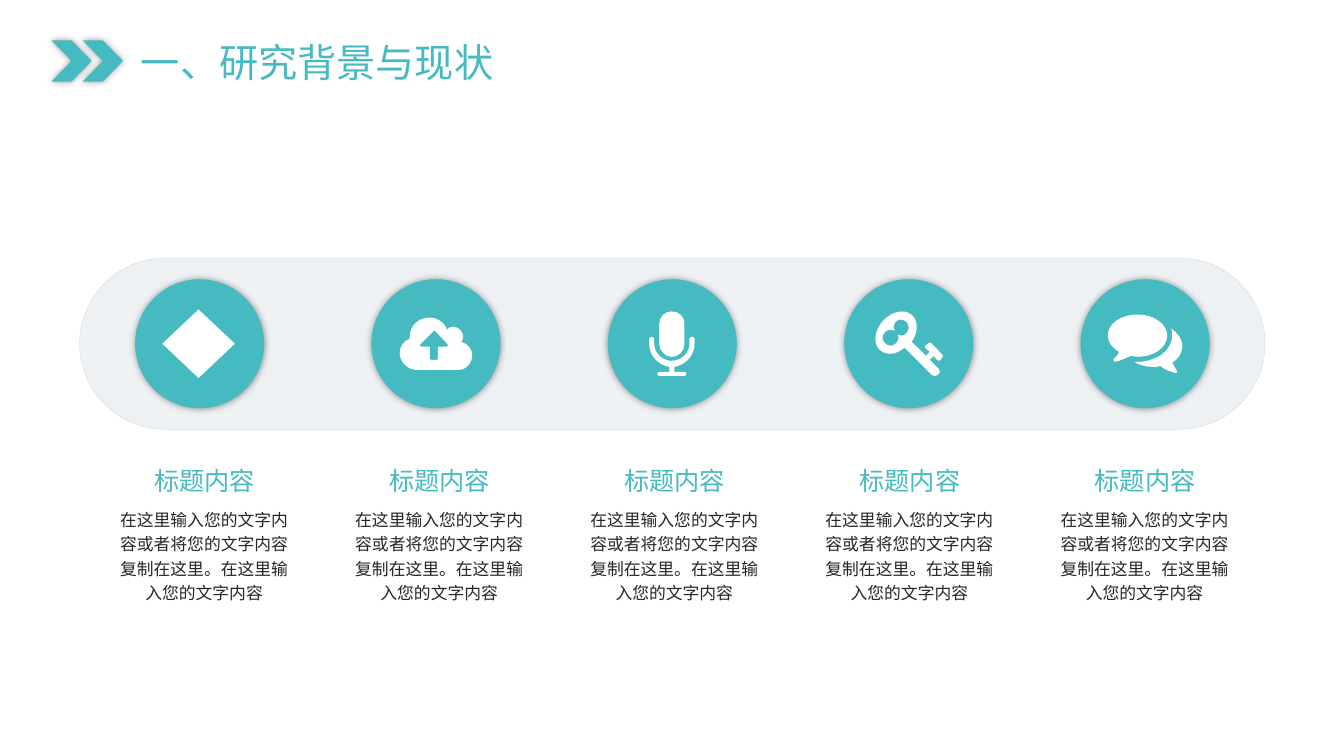
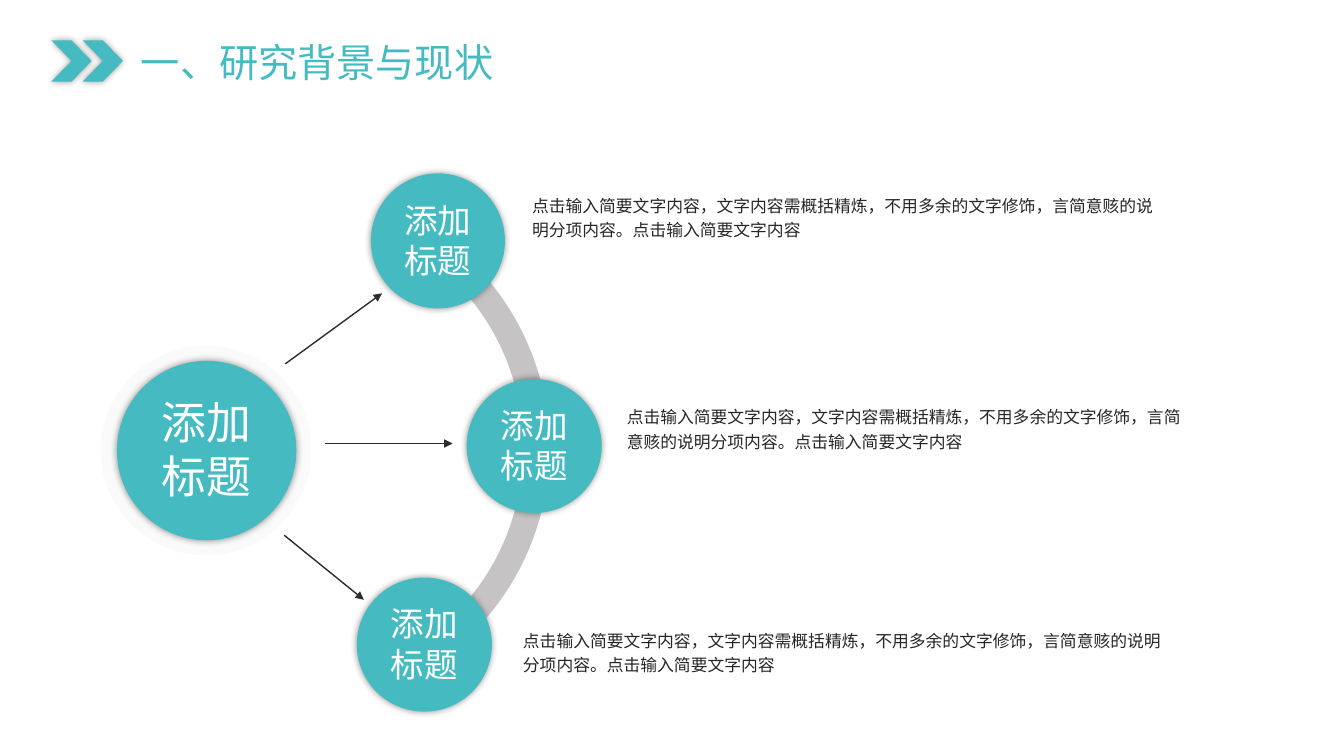
from dataclasses import dataclass
from typing import NamedTuple

from lxml.etree import SubElement
from pptx import Presentation
from pptx.dml.color import RGBColor
from pptx.enum.shapes import MSO_CONNECTOR, MSO_SHAPE
from pptx.enum.text import MSO_ANCHOR, MSO_AUTO_SIZE, PP_ALIGN
from pptx.oxml.ns import qn
from pptx.util import Emu, Pt

EMU_PER_PX = 9144  # 100 px to the inch
SLIDE_WIDTH, SLIDE_HEIGHT = Emu(12192000), Emu(6858000)  # 16:9


@dataclass(frozen=True)
class Theme:
    teal: str = "45BBC1"
    white: str = "FFFFFF"
    node_text: str = "FEFEFE"
    ink: str = "262626"
    arrow: str = "2E2C2C"
    arc: str = "C5C3C3"
    halo: str = "FAFAFA"
    band: str = "D6DCE5"
    band_edge: str = "D9D9D9"
    shadow: str = "000000"
    heading_font: str = "Noto Sans CJK JP"
    body_font: str = "Noto Sans CJK SC"
    title_size: int = 28
    hub_size: int = 32
    node_size: int = 24
    heading_size: int = 18
    body_size: int = 12


THEME = Theme()


class Box(NamedTuple):
    left: float
    top: float
    width: float
    height: float


class Branch(NamedTuple):
    circle: Box
    note: Box
    arrow: tuple[int, int, int, int]


Point = tuple[int, int]

# Content
TITLE = "一、研究背景与现状"
TOPIC = "标题内容"
TOPIC_BODY = "在这里输入您的文字内容或者将您的文字内容复制在这里。在这里输入您的文字内容"
NODE = "添加标题"
NOTE = ("点击输入简要文字内容，文字内容需概括精炼，不用多余的文字修饰，"
        "言简意赅的说明分项内容。点击输入简要文字内容")

# Icon outlines, measured from the corner of their circle
CLOUD = (
    "M 86,90 L 45,90 C 36,90 28,82 28,73 28,67 32,61 38,59 38,58 38,58 38,57 "
    "38,46 47,38 58,38 64,38 72,42 75,50 76,48 79,47 81,47 86,47 91,52 91,57 "
    "91,59 90,61 89,62 96,64 100,70 100,75 100,83 94,90 86,90",
    "M 76,65 L 63,51 62,51 48,65 49,67 58,67 58,79 59,80 65,80 66,79 66,67 75,67",
)
MICROPHONE = (
    "M 86,64 C 86,76 77,85 66,87 L 66,92 76,92 C 77,92 78,93 78,94 78,95 77,96 76,96 "
    "L 51,96 C 50,96 49,95 49,94 49,93 50,92 51,92 L 61,92 61,87 C 50,85 41,76 41,64 "
    "L 41,59 C 41,58 42,57 43,57 44,57 46,58 46,59 L 46,64 C 46,73 54,81 63,81 "
    "73,81 81,73 81,64 L 81,59 C 81,58 82,57 84,57 85,57 86,58 86,59",
    "M 76,64 C 76,71 71,77 63,77 57,77 51,71 51,64 L 51,44 C 51,37 57,32 63,32 "
    "71,32 76,37 76,44",
)
KEY = (
    "M 94,81 C 93,81 89,77 89,76 L 85,80 94,89 C 94,90 95,91 95,92 95,94 92,96 90,96 "
    "89,96 88,96 87,95 L 60,68 C 56,71 51,74 46,74 37,74 31,68 31,59 31,46 44,32 57,32 "
    "66,32 72,38 72,47 72,53 70,58 67,62 L 81,76 85,72 C 84,71 80,68 80,67 "
    "80,66 84,63 85,63 85,63 85,63 86,63 87,64 98,75 98,76 98,77 95,81 94,81",
    "M 56,40 C 52,40 49,44 49,48 49,49 49,50 50,51 48,51 47,50 46,50 42,50 38,54 38,58 "
    "38,62 42,66 46,66 50,66 54,62 54,58 54,57 54,56 53,55 54,55 55,56 56,56 "
    "61,56 64,52 64,48 64,44 61,40 56,40",
)
CHAT = (
    "M 57,77 C 54,77 52,76 50,76 45,78 42,80 38,81 36,81 35,82 34,82 L 34,82 "
    "C 33,82 33,81 33,81 32,80 33,79 33,79 35,77 37,76 38,72 32,68 27,63 27,56 "
    "27,44 40,35 57,35 72,35 86,44 86,56 86,68 72,77 57,77",
    "M 91,83 C 92,86 94,87 95,90 96,91 96,91 96,92 96,93 96,93 95,93 94,93 92,93 91,92 "
    "87,91 84,90 79,86 77,87 75,87 72,87 65,87 58,85 53,82 54,82 56,82 57,82 "
    "65,82 74,79 80,75 87,70 91,63 91,56 91,54 91,51 90,49 97,54 101,60 101,66 "
    "101,73 97,79 91,83",
)
ICONS = (None, CLOUD, MICROPHONE, KEY, CHAT)  # the first circle holds a plain diamond

ARC = (
    "M 403,242 C 473,283 519,358 519,444 519,529 475,603 407,644 L 420,666 "
    "C 495,621 545,538 545,444 545,349 493,265 416,220",
)
BRANCHES = (
    Branch(Box(368, 172, 133, 134), Box(518, 185, 651, 59), (283, 361, 379, 291)),
    Branch(Box(463, 376, 134, 133), Box(612, 395, 573, 59), (322, 440, 449, 440)),
    Branch(Box(354, 573, 134, 133), Box(509, 617, 663, 59), (282, 531, 361, 595)),
)


def px(length: float) -> Emu:
    return Emu(round(length * EMU_PER_PX))


def spread(first: int, last: int, count: int) -> list[float]:
    """Places count positions at equal steps from first to last."""
    return [first + (last - first) * i / (count - 1) for i in range(count)]


def add_glow(shape) -> None:
    """Adds the soft shadow that lies all round a shape."""
    effects = shape.element.spPr.find(qn("a:effectLst"))
    outer = SubElement(effects, qn("a:outerShdw"), blurRad=str(Pt(5)), dist="0",
                       dir="0", algn="ctr", rotWithShape="0")
    color = SubElement(outer, qn("a:srgbClr"), val=THEME.shadow)
    SubElement(color, qn("a:alpha"), val="40000")


def paint(shape, fill: str) -> None:
    shape.shadow.inherit = False
    shape.fill.solid()
    shape.fill.fore_color.rgb = RGBColor.from_string(fill)
    shape.line.fill.background()


def add_figure(slide, kind: MSO_SHAPE, box: Box, fill: str, glow: bool = False):
    shape = slide.shapes.add_shape(kind, *map(px, box))
    paint(shape, fill)
    if glow:
        add_glow(shape)
    return shape


def trace(contour: str, left: float, top: float) -> list[list[Point]]:
    """Splits M, L and C commands into segments: one point, or three for a curve."""
    segments, pending, command = [], [], "M"
    for token in contour.split():
        if token in ("M", "L", "C"):
            command = token
            continue
        x, y = map(int, token.split(","))
        pending.append((px(x + left), px(y + top)))
        if len(pending) == (3 if command == "C" else 1):
            segments.append(pending)
            pending = []
    return segments


def bend(shape, segments: list[list[Point]]) -> None:
    """Turns the straight segments that have control points into curves."""
    for line, segment in zip(list(shape.element.spPr.iter(qn("a:lnTo"))), segments):
        if len(segment) == 3:
            line.tag = qn("a:cubicBezTo")
            end = line[0]
            for x, y in segment[:2]:
                control = SubElement(line, qn("a:pt"), x=str(x - shape.left),
                                     y=str(y - shape.top))
                end.addprevious(control)


def add_outline(slide, contours: tuple[str, ...], fill: str,
                left: float = 0, top: float = 0) -> None:
    builder, drawn = None, []
    for contour in contours:
        (start,), *segments = trace(contour, left, top)
        if builder is None:
            builder = slide.shapes.build_freeform(*start, scale=1.0)
        else:
            builder.move_to(*start)
        builder.add_line_segments([segment[-1] for segment in segments], close=True)
        drawn += segments
    shape = builder.convert_to_shape()
    bend(shape, drawn)
    paint(shape, fill)


def write(frame, text: str, *, size: int, color: str, font: str = THEME.heading_font,
          align: PP_ALIGN = PP_ALIGN.LEFT, spacing: float = 1.0) -> None:
    paragraph = frame.paragraphs[0]
    paragraph.alignment = align
    paragraph.line_spacing = spacing
    run = paragraph.add_run()
    run.text = text
    run.font.size = Pt(size)
    run.font.color.rgb = RGBColor.from_string(color)
    run.font.name = font
    SubElement(run.font._element, qn("a:ea"), typeface=font)


def add_text(slide, box: Box, text: str, *, wrap: bool = True, **style) -> None:
    frame = slide.shapes.add_textbox(*map(px, box)).text_frame
    frame.word_wrap = wrap
    frame.auto_size = MSO_AUTO_SIZE.SHAPE_TO_FIT_TEXT
    write(frame, text, **style)


def add_body(slide, box: Box, text: str, align: PP_ALIGN = PP_ALIGN.LEFT) -> None:
    add_text(slide, box, text, size=THEME.body_size, color=THEME.ink,
             font=THEME.body_font, align=align, spacing=1.2)


def add_node(slide, box: Box, text: str, size: int, lift: int) -> None:
    """Draws a teal circle with its label inside, raised a little by lift."""
    frame = add_figure(slide, MSO_SHAPE.OVAL, box, THEME.teal, glow=True).text_frame
    frame.word_wrap = True
    frame.vertical_anchor = MSO_ANCHOR.MIDDLE
    frame.margin_left = frame.margin_right = px(5)
    frame.margin_top, frame.margin_bottom = 0, px(2 * lift)
    write(frame, text, size=size, color=THEME.node_text, align=PP_ALIGN.CENTER)


def add_arrow(slide, ends: tuple[int, int, int, int]) -> None:
    arrow = slide.shapes.add_connector(MSO_CONNECTOR.STRAIGHT, *map(px, ends))
    arrow.line.color.rgb = RGBColor.from_string(THEME.arrow)
    arrow.line.width = Pt(1)
    SubElement(arrow.line._get_or_add_ln(), qn("a:tailEnd"), type="triangle")
    SubElement(arrow.element.spPr, qn("a:effectLst"))


def add_titled_slide(deck):
    """Adds a blank slide with the double chevron and the title."""
    slide = deck.slides.add_slide(deck.slide_layouts[6])
    for left in (51, 82):
        add_figure(slide, MSO_SHAPE.CHEVRON, Box(left, 40, 40, 41), THEME.teal, glow=True)
    add_text(slide, Box(130, 33, 374, 57), TITLE, wrap=False,
             size=THEME.title_size, color=THEME.teal)
    return slide


def build_topics(deck) -> None:
    slide = add_titled_slide(deck)

    # Pale band behind the icons
    band = add_figure(slide, MSO_SHAPE.ROUNDED_RECTANGLE, Box(79, 256, 1176, 170), THEME.band)
    band.adjustments[0] = 0.5
    band.line.color.rgb = RGBColor.from_string(THEME.band_edge)
    band.line.width = Pt(0.25)
    tint = band.element.spPr.find(qn("a:solidFill")).find(qn("a:srgbClr"))
    SubElement(tint, qn("a:alpha"), val="40000")

    # Icon circles
    circle_top = 277
    for left, icon in zip(spread(134, 1072, len(ICONS)), ICONS):
        add_figure(slide, MSO_SHAPE.OVAL, Box(left, circle_top, 128, 128), THEME.teal, glow=True)
        if icon:
            add_outline(slide, icon, THEME.white, left, circle_top)
        else:
            add_figure(slide, MSO_SHAPE.DIAMOND, Box(left + 27, circle_top + 30, 72, 68),
                       THEME.white)

    # Headings and descriptions
    for left in spread(102, 1035, len(ICONS)):
        add_body(slide, Box(left, 497, 201, 107), TOPIC_BODY, PP_ALIGN.CENTER)
        add_text(slide, Box(left + 31, 457, 140, 40), TOPIC, size=THEME.heading_size,
                 color=THEME.teal, align=PP_ALIGN.CENTER)


def build_hub(deck) -> None:
    slide = add_titled_slide(deck)
    add_outline(slide, ARC, THEME.arc)

    # Branches with their notes
    for branch in BRANCHES:
        add_arrow(slide, branch.arrow)
        add_node(slide, branch.circle, NODE, THEME.node_size, lift=1)
        add_body(slide, branch.note, NOTE)

    # Hub with its halo
    add_figure(slide, MSO_SHAPE.OVAL, Box(100, 343, 209, 208), THEME.halo)
    add_node(slide, Box(116, 358, 178, 178), NODE, THEME.hub_size, lift=2)


def main() -> None:
    deck = Presentation()
    deck.slide_width, deck.slide_height = SLIDE_WIDTH, SLIDE_HEIGHT
    build_topics(deck)
    build_hub(deck)
    deck.save("out.pptx")


if __name__ == "__main__":
    main()
